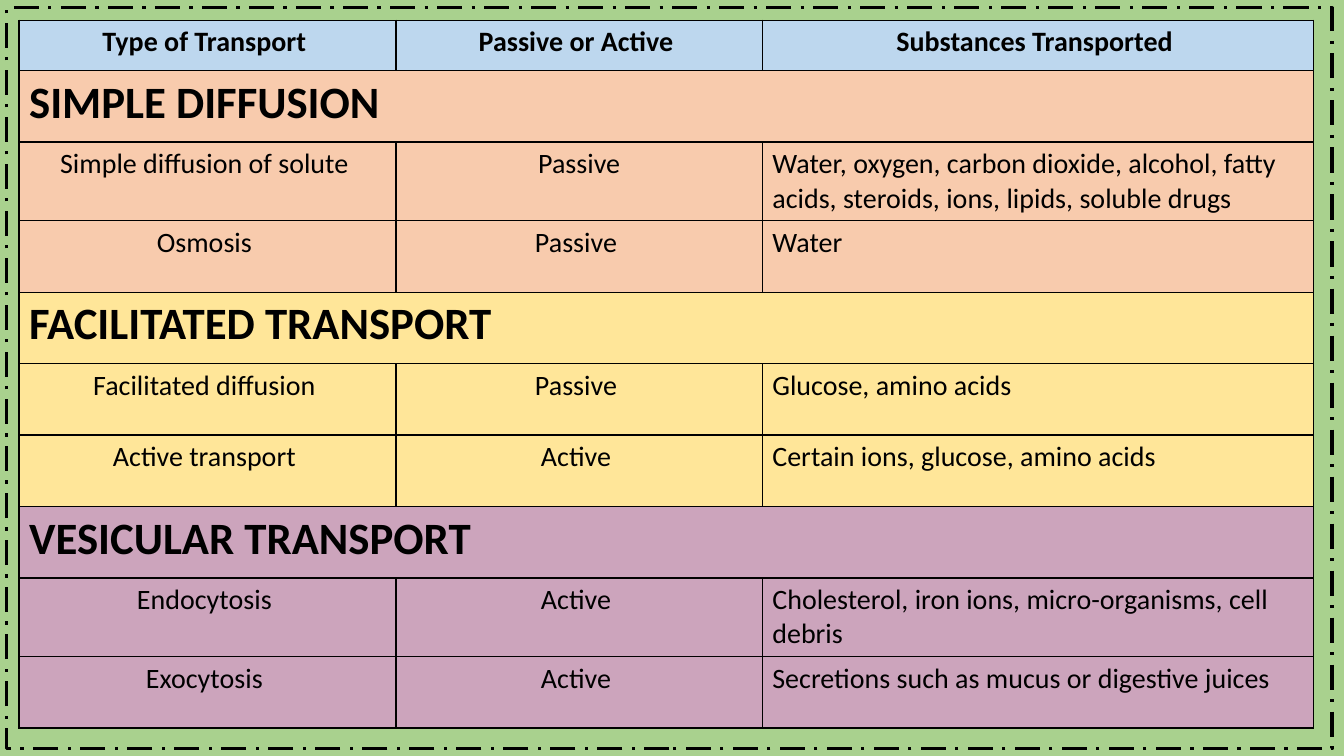
from dataclasses import dataclass

from lxml.etree import SubElement
from pptx import Presentation
from pptx.dml.color import RGBColor
from pptx.enum.dml import MSO_LINE
from pptx.enum.shapes import MSO_SHAPE
from pptx.enum.text import PP_ALIGN
from pptx.oxml.ns import qn
from pptx.util import Cm, Pt

HEADINGS = ["Type of Transport ", "Passive or Active ", "Substances Transported "]

# Section title, fill colour, opacity in percent, rows
SECTIONS = [
    ("SIMPLE DIFFUSION", "F8CBAD", 100, [
        ("Simple diffusion of solute ", "Passive",
         "Water, oxygen, carbon dioxide, alcohol, fatty acids, steroids, ions, "
         "lipids, soluble drugs"),
        ("Osmosis ", "Passive ", "Water"),
    ]),
    ("FACILITATED TRANSPORT", "FFE699", 100, [
        ("Facilitated diffusion ", "Passive ", "Glucose, amino acids"),
        ("Active transport ", "Active ", "Certain ions, glucose, amino acids"),
    ]),
    ("VESICULAR TRANSPORT", "FF66FF", 41, [
        ("Endocytosis ", "Active ",
         "Cholesterol, iron ions, micro-organisms, cell debris"),
        ("Exocytosis ", "Active ", "Secretions such as mucus or digestive juices"),
    ]),
]

COLUMN_WIDTHS = [Cm(9.5), Cm(9.23), Cm(13.89)]
HEADER_HEIGHT, ROW_HEIGHT = Cm(1.27), Cm(1.8)
TABLE_LEFT, TABLE_TOP = Cm(0.48), Cm(0.51)
FRAME = (Cm(0.17), Cm(0.2), Cm(33.4), Cm(18.67))


@dataclass(frozen=True)
class Theme:
    background: str = "A9D18E"
    header: str = "BDD7EE"
    ink: str = "000000"
    font: str = "Calibri"
    body_size: int = 20
    section_size: int = 32
    border_width: float = 1
    frame_width: float = 2.25


THEME = Theme()


def draw_borders(cell):
    properties = cell._tc.get_or_add_tcPr()
    for position, side in enumerate(("a:lnL", "a:lnR", "a:lnT", "a:lnB")):
        line = SubElement(properties, qn(side), w=str(Pt(THEME.border_width)))
        fill = SubElement(line, qn("a:solidFill"))
        SubElement(fill, qn("a:srgbClr"), val=THEME.ink)
        properties.insert(position, line)


def fill_cell(cell, color, opacity):
    cell.fill.solid()
    cell.fill.fore_color.rgb = RGBColor.from_string(color)
    if opacity < 100:
        color_element = cell._tc.tcPr.find(".//" + qn("a:srgbClr"))
        SubElement(color_element, qn("a:alpha"), val=str(opacity * 1000))


def write_cell(cell, text, size, bold, align):
    para = cell.text_frame.paragraphs[0]
    para.alignment = align
    span = para.add_run()
    span.text = text
    formats = {"name": THEME.font, "size": Pt(size), "bold": bold}
    for name, value in formats.items():
        setattr(span.font, name, value)
    span.font.color.rgb = RGBColor.from_string(THEME.ink)


def table_rows():
    """List each row as texts, fill, opacity, size, bold and last column's alignment."""
    rows = [(HEADINGS, THEME.header, 100, THEME.body_size, True, PP_ALIGN.CENTER)]
    for title, color, opacity, entries in SECTIONS:
        rows.append(([title], color, opacity, THEME.section_size, True, PP_ALIGN.LEFT))
        for entry in entries:
            rows.append((entry, color, opacity, THEME.body_size, False, PP_ALIGN.LEFT))
    return rows


def add_transport_table(page):
    rows = table_rows()
    heights = [HEADER_HEIGHT] + [ROW_HEIGHT] * (len(rows) - 1)
    table = page.shapes.add_table(
        len(rows), len(COLUMN_WIDTHS), TABLE_LEFT, TABLE_TOP,
        sum(COLUMN_WIDTHS), sum(heights)).table
    table.first_row = table.horz_banding = False
    for column, width in zip(table.columns, COLUMN_WIDTHS):
        column.width = width
    for row, height, content in zip(table.rows, heights, rows):
        texts, color, opacity, size, bold, last_align = content
        row.height = height
        cells = list(row.cells)
        for cell in cells:
            fill_cell(cell, color, opacity)
            draw_borders(cell)
        if len(texts) == 1:
            cells[0].merge(cells[-1])
        aligns = [PP_ALIGN.CENTER] * (len(texts) - 1) + [last_align]
        for cell, text, align in zip(cells, texts, aligns):
            write_cell(cell, text, size, bold, align)


def add_frame(page):
    frame = page.shapes.add_shape(MSO_SHAPE.RECTANGLE, *FRAME)
    frame.shadow.inherit = False
    frame.fill.background()
    frame.line.color.rgb = RGBColor.from_string(THEME.ink)
    frame.line.width = Pt(THEME.frame_width)
    frame.line.dash_style = MSO_LINE.LONG_DASH_DOT


def main():
    deck = Presentation()
    deck.slide_width, deck.slide_height = Cm(33.87), Cm(19.05)
    page = deck.slides.add_slide(deck.slide_layouts[6])
    page.background.fill.solid()
    page.background.fill.fore_color.rgb = RGBColor.from_string(THEME.background)
    add_transport_table(page)
    add_frame(page)
    deck.save("out.pptx")


if __name__ == "__main__":
    main()
